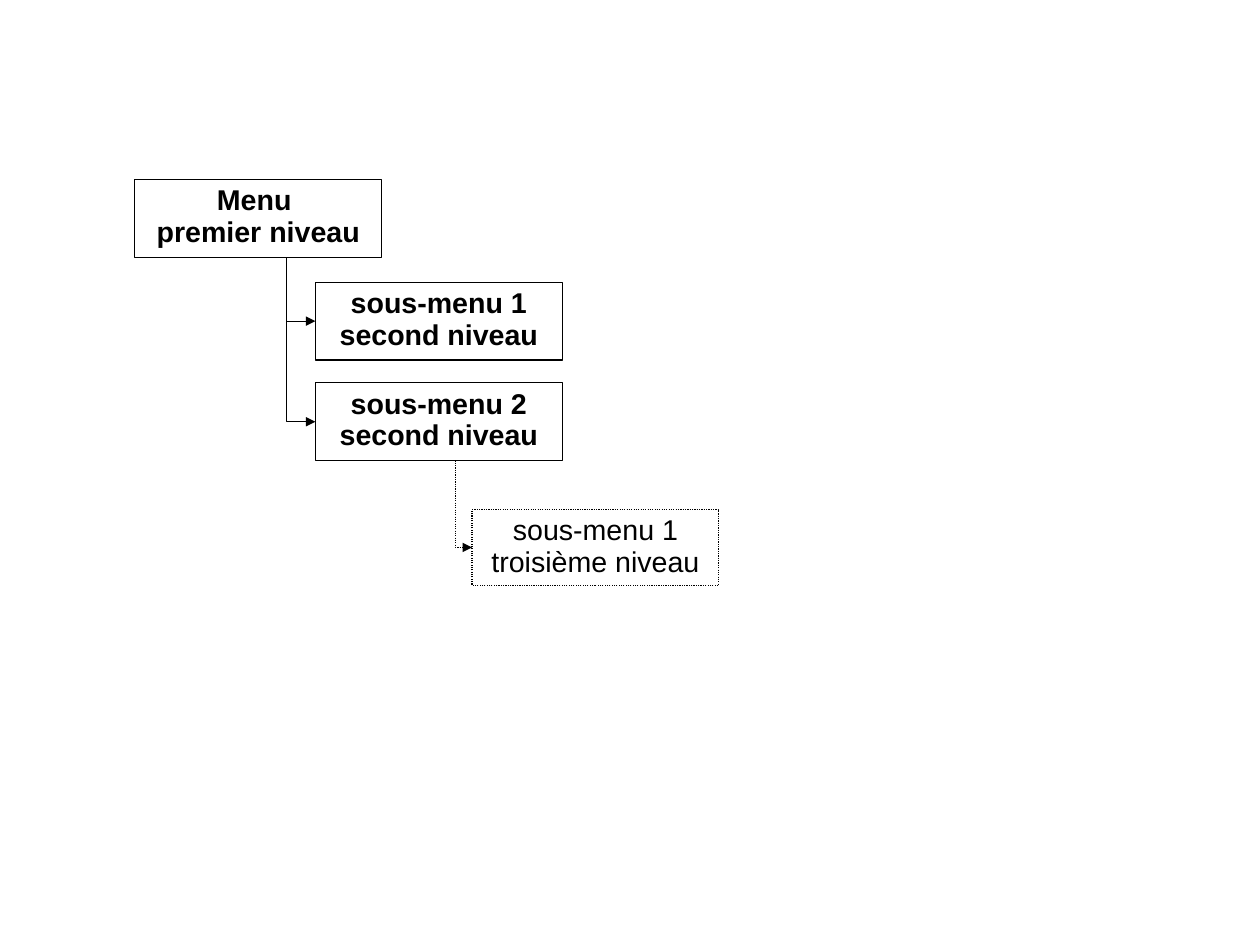
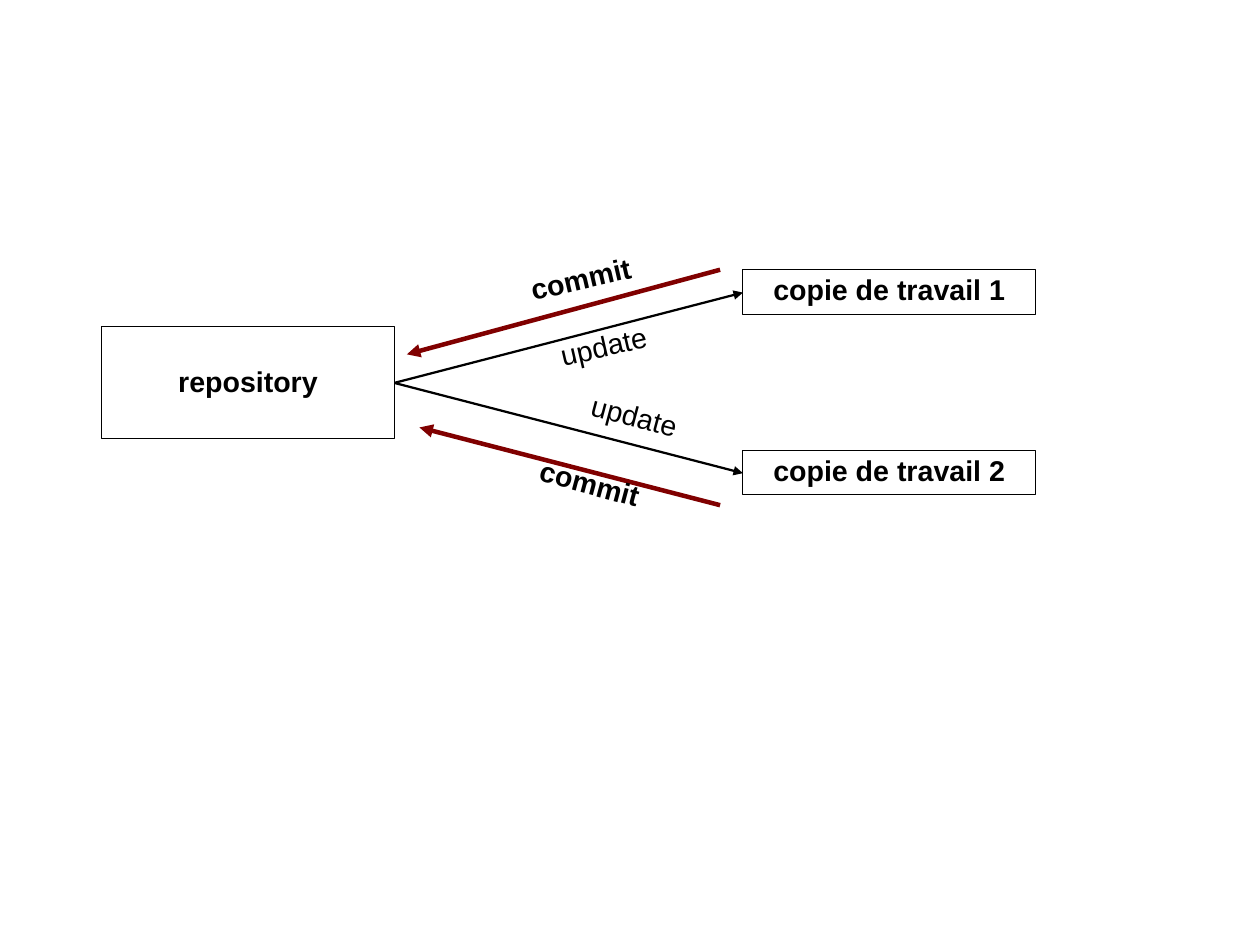
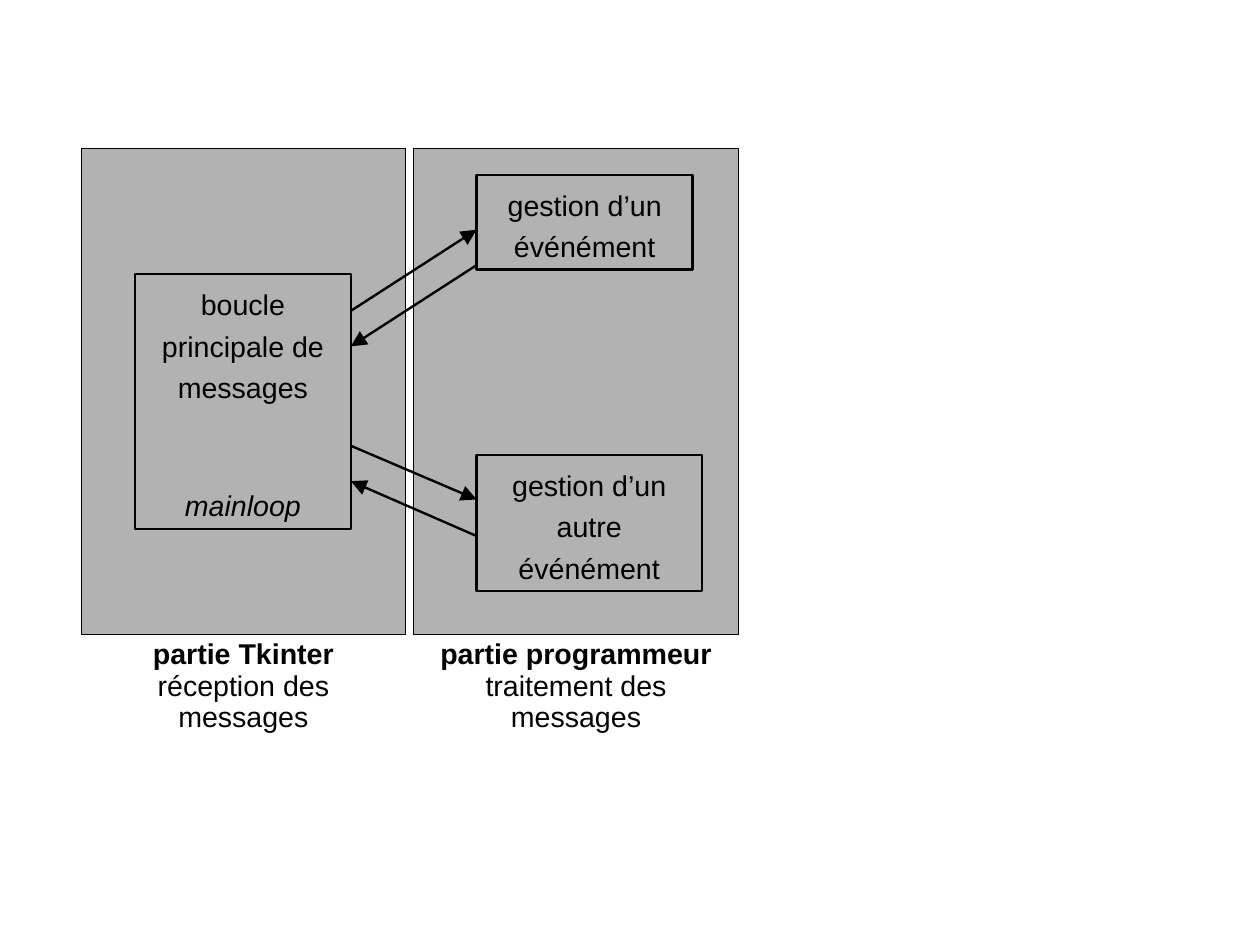
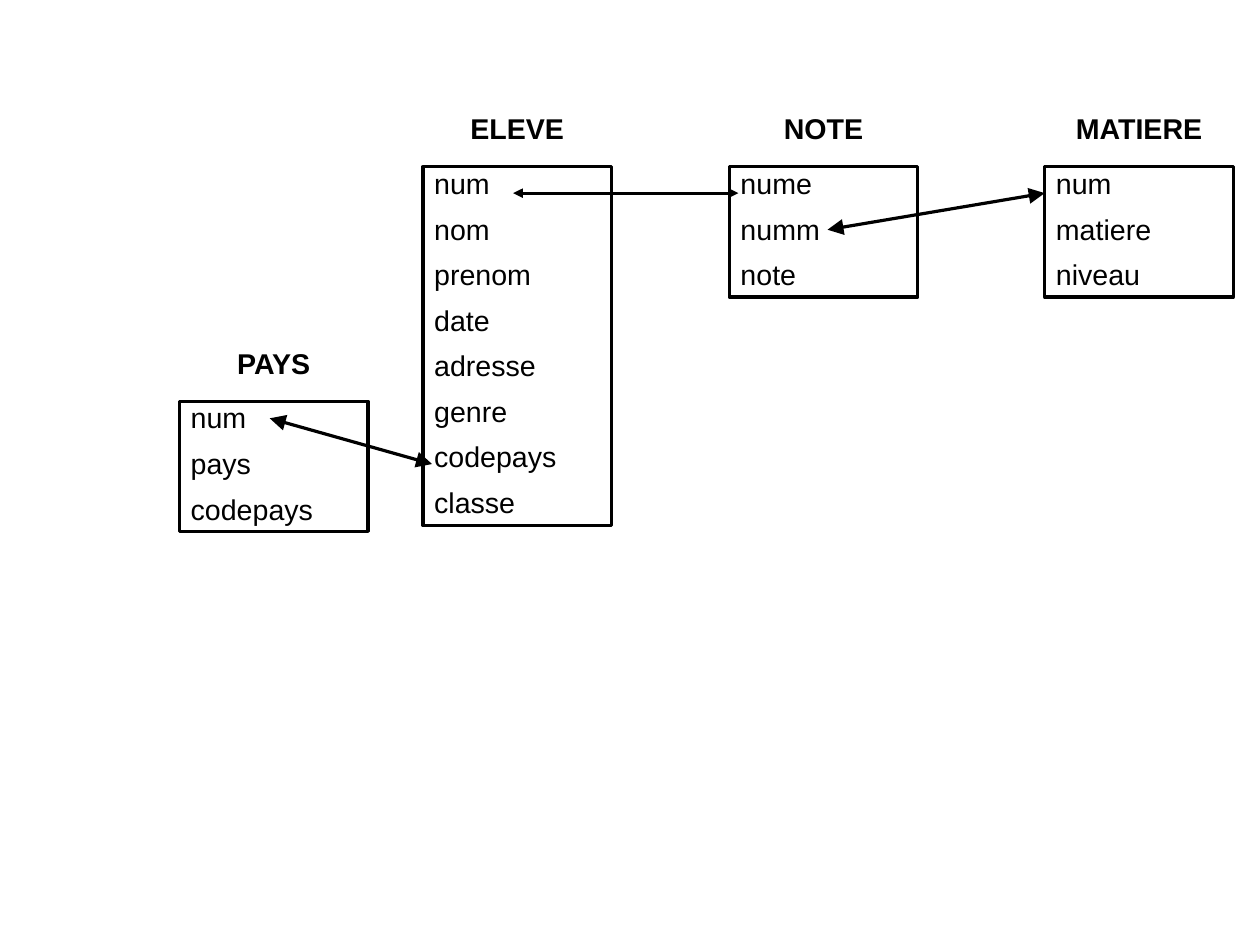
import dataclasses

import pptx
import pptx.util
from pptx.dml.color import RGBColor
from pptx.enum.dml import MSO_LINE
from pptx.enum.shapes import MSO_CONNECTOR, MSO_SHAPE
from pptx.enum.text import MSO_ANCHOR, PP_ALIGN
from pptx.oxml.ns import qn
from pptx.util import Inches, Pt


@dataclasses.dataclass(frozen=True)
class Theme:
    """Colours, type and line widths shared by all slides."""
    ink: RGBColor = RGBColor(0, 0, 0)
    commit: RGBColor = RGBColor(0x80, 0, 0)
    panel: RGBColor = RGBColor(0xB2, 0xB2, 0xB2)
    font: str = "Arial"
    size: float = 18
    before: float = 11.2
    thin: float = 0.74
    update: float = 1.42
    medium: float = 1.5
    heavy: float = 2.01
    strong: float = 2.83


theme = Theme()


def add_box(page, at, lines=(), border=None, fill=None, dash=None, bold=False,
            spacing=0.93, before=0, align=PP_ALIGN.CENTER):
    """Add a rectangle, or a plain text box without border, one paragraph a line."""
    place = [Inches(length) for length in at]
    if border:
        box = page.shapes.add_shape(MSO_SHAPE.RECTANGLE, *place)
        box.shadow.inherit = False
        box.line.color.rgb = theme.ink
        box.line.width = Pt(border)
        if dash:
            box.line.dash_style = dash
        if fill:
            box.fill.solid()
            box.fill.fore_color.rgb = fill
        else:
            box.fill.background()
    else:
        box = page.shapes.add_textbox(*place)
    frame = box.text_frame
    frame.word_wrap = True
    frame.vertical_anchor = MSO_ANCHOR.TOP
    frame.text = "\n".join(lines)
    for para in frame.paragraphs:
        para.alignment = align
        para.line_spacing = spacing
        para.space_before = Pt(before)
        para.font.name = theme.font
        para.font.size = Pt(theme.size)
        para.font.bold = bold
        para.font.color.rgb = theme.ink
    return box


def add_arrow(page, start, end, width, color=theme.ink, kind=MSO_CONNECTOR.STRAIGHT,
              dash=None, head="med", both=False):
    """Add an arrow from start to end, pointed at its end or at both ends."""
    arrow = page.shapes.add_connector(
        kind, *[Inches(length) for length in (*start, *end)])
    arrow.line.color.rgb = color
    arrow.line.width = Pt(width)
    if dash:
        arrow.line.dash_style = dash
    outline = arrow.line._get_or_add_ln()
    for tag in ("a:headEnd", "a:tailEnd") if both else ("a:tailEnd",):
        tip = outline.makeelement(qn(tag), {"type": "triangle", "w": head, "len": head})
        outline.append(tip)
    properties = arrow._element.spPr
    properties.append(properties.makeelement(qn("a:effectLst"), {}))


# The page measures 28 by 21 centimetres
deck = pptx.Presentation()
deck.slide_width = Inches(28 / 2.54)
deck.slide_height = Inches(21 / 2.54)
blank = deck.slide_layouts[6]
menu_page, version_page, event_page, table_page = [
    deck.slides.add_slide(blank) for _ in range(4)]

# Menu levels
dotted = MSO_LINE.ROUND_DOT
add_box(menu_page, (1.18, 1.57, 2.16, 0.68), ["Menu ", "premier niveau"],
        theme.thin, bold=True)
for number, top in ((2, 3.35), (1, 2.47)):
    add_box(menu_page, (2.76, top, 2.16, 0.68),
            [f"sous-menu {number}", "second niveau"], theme.thin, bold=True)
    add_arrow(menu_page, (2.26, 2.25), (2.76, top + 0.34), theme.thin,
              kind=MSO_CONNECTOR.ELBOW)
add_box(menu_page, (4.13, 4.46, 2.16, 0.66), ["sous-menu 1", "troisième niveau"],
        theme.thin, dash=dotted)
add_arrow(menu_page, (3.84, 4.03), (4.13, 4.79), theme.thin,
          kind=MSO_CONNECTOR.ELBOW, dash=dotted)

# Repository and working copies
repository = add_box(version_page, (0.89, 2.86, 2.56, 0.98), ["repository"],
                     theme.thin, bold=True)
repository.text_frame.vertical_anchor = MSO_ANCHOR.MIDDLE
for number, top in ((1, 2.36), (2, 3.94)):
    add_box(version_page, (6.5, top, 2.56, 0.39), [f"copie de travail {number}"],
            theme.thin, bold=True)
    add_arrow(version_page, (3.45, 3.35), (6.5, top + 0.2), theme.update)
for start, end in (((6.3, 2.36), (3.56, 3.1)), ((6.3, 4.42), (3.67, 3.74))):
    add_arrow(version_page, start, end, theme.strong, theme.commit)
for word, left, top, angle in (("commit", 4.5, 2.29, 347), ("update", 4.7, 2.88, 347),
                               ("update", 4.95, 3.49, 15), ("commit", 4.56, 4.08, 15)):
    label = add_box(version_page, (left, top, 1.18, 0.38), [word],
                    bold=word == "commit", spacing=0.81)
    label.rotation = angle

# Event loop
for left, title, role in ((3.62, "partie programmeur", "traitement des messages"),
                          (0.71, "partie Tkinter", "réception des messages")):
    add_box(event_page, (left, 1.3, 2.84, 4.25), border=theme.thin, fill=theme.panel)
    caption = add_box(event_page, (left, 5.55, 2.84, 0.92), [f"{title}\v{role}"],
                      spacing=0.91, before=theme.before)
    caption.text_frame.paragraphs[0].runs[0].font.bold = True
for at, lines in (
        ((1.18, 2.4, 1.89, 2.23), ["boucle principale de messages", "mainloop"]),
        ((4.17, 1.53, 1.89, 0.83), ["gestion d’un événément"]),
        ((4.17, 3.98, 1.97, 1.19), ["gestion d’un autre événément"])):
    step = add_box(event_page, at, lines, theme.medium, spacing=1.21, before=theme.before)
    for para in step.text_frame.paragraphs[1:]:
        para.font.italic = True
        para.space_before = Pt(48)
for start, end in (((3.07, 2.72), (4.17, 2.01)), ((4.17, 2.32), (3.07, 3.03)),
                   ((3.07, 3.9), (4.17, 4.37)), ((4.17, 4.69), (3.07, 4.21))):
    add_arrow(event_page, start, end, theme.medium, head="lg")

# Database tables
for name, left, top, height, fields in (
        ("ELEVE", 3.7, 1.46, 3.14,
         "num nom prenom date adresse genre codepays classe"),
        ("PAYS", 1.57, 3.51, 1.14, "num pays codepays"),
        ("MATIERE", 9.14, 1.46, 1.14, "num matiere niveau"),
        ("NOTE", 6.38, 1.46, 1.14, "nume numm note")):
    add_box(table_page, (left, top, 1.65, height), fields.split(), theme.heavy,
            spacing=0.81, before=theme.before, align=PP_ALIGN.LEFT)
    add_box(table_page, (left, top - 0.48, 1.65, 0.35), [name], bold=True,
            spacing=0.81, before=theme.before)
for start, end, head in (((4.49, 1.69), (6.46, 1.69), "med"),
                         ((7.24, 2.01), (9.14, 1.69), "lg"),
                         ((3.78, 4.06), (2.36, 3.66), "lg")):
    add_arrow(table_page, start, end, theme.heavy, head=head, both=True)

deck.save("out.pptx")
